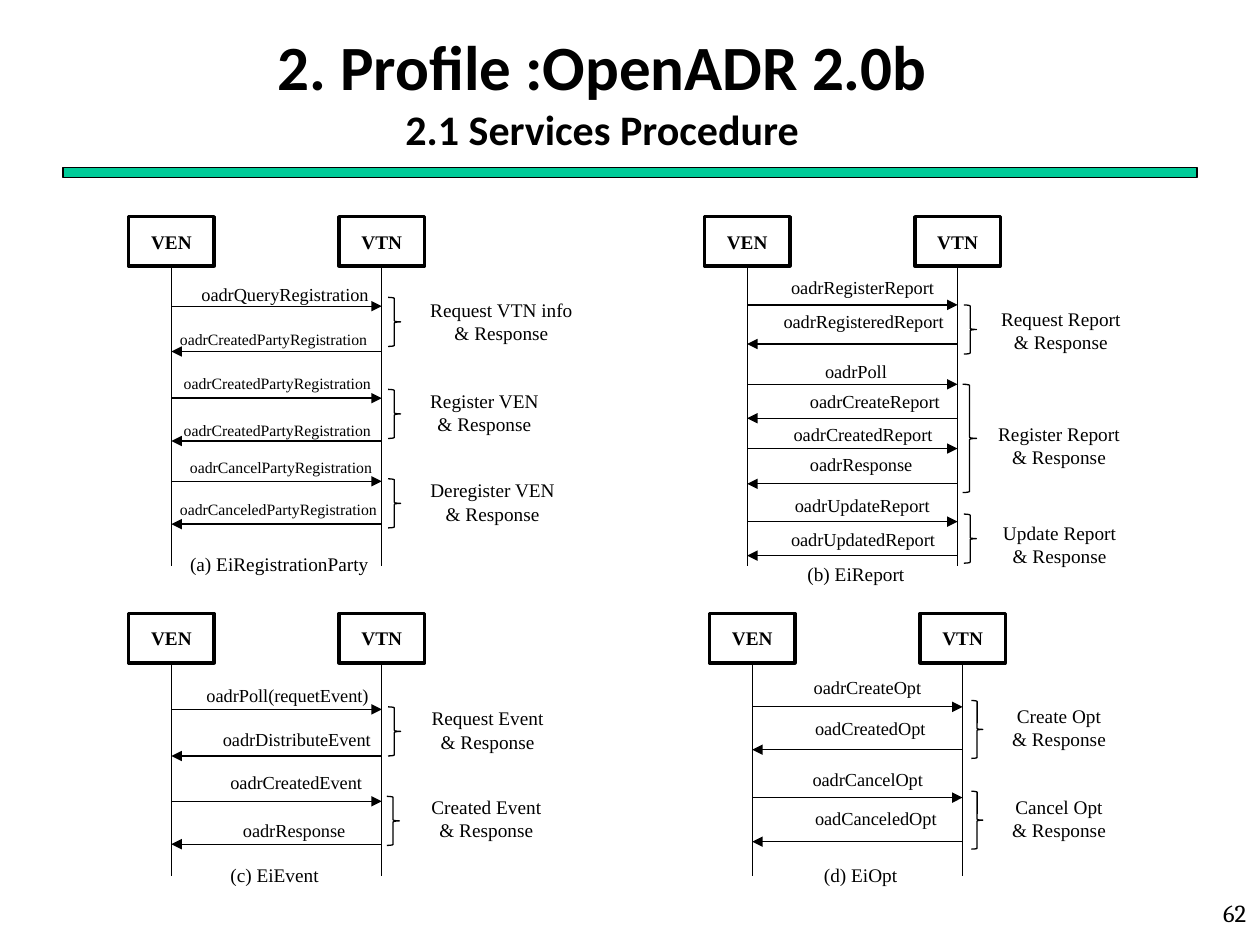
from collections import namedtuple

from lxml.etree import SubElement
from pptx import Presentation
from pptx.dml.color import RGBColor
from pptx.enum.shapes import MSO_CONNECTOR, MSO_SHAPE
from pptx.enum.text import MSO_ANCHOR, MSO_AUTO_SIZE, PP_ALIGN
from pptx.oxml.ns import qn
from pptx.util import Cm, Pt

COLOURS = {"ink": "000000", "rule": "00CC99"}
SERIF = "Times New Roman"
HEAD_WIDTH, HEAD_HEIGHT, LANE_GAP = 0.68, 0.39, 1.67

Diagram = namedtuple("Diagram", "left top bottom caption messages notes")
Message = namedtuple("Message", "text y left top width size", defaults=[10.5])
Note = namedtuple("Note", "text left top width brace")

DIAGRAMS = [
    Diagram(1.02, 1.72, 4.49, ("(a) EiRegistrationParty", 1.41, 4.33, 1.62), [
        Message("oadrQueryRegistration", 2.43, 1.5, 2.2, 1.55),
        Message("oadrCreatedPartyRegistration", 2.79, 1.33, 2.57, 1.7, 9),
        Message("oadrCreatedPartyRegistration", 3.16, 1.36, 2.92, 1.7, 9),
        Message("oadrCreatedPartyRegistration", 3.5, 1.36, 3.29, 1.7, 9),
        Message("oadrCancelPartyRegistration", 3.82, 1.41, 3.58, 1.66, 9),
        Message("oadrCanceledPartyRegistration", 4.16, 1.33, 3.92, 1.78, 9),
    ], [
        Note("Request VTN info", 3.31, 2.32, 1.34, (3.08, 2.36, 0.1, 0.39)),
        Note("Register VEN", 3.31, 3.04, 1.07, (3.08, 3.09, 0.1, 0.39)),
        Note("Deregister VEN", 3.31, 3.75, 1.2, (3.08, 3.8, 0.1, 0.39)),
    ]),
    Diagram(5.59, 1.72, 4.49, ("(b) EiReport", 6.31, 4.41, 0.98), [
        Message("oadrRegisterReport", 2.42, 6.18, 2.14, 1.35),
        Message("oadrRegisteredReport", 2.73, 6.12, 2.41, 1.49),
        Message("oadrPoll", 3.05, 6.45, 2.81, 0.7),
        Message("oadrCreateReport", 3.32, 6.33, 3.05, 1.25),
        Message("oadrCreatedReport", 3.56, 6.2, 3.31, 1.32),
        Message("oadrResponse", 3.84, 6.33, 3.55, 1.07),
        Message("oadrUpdateReport", 4.14, 6.21, 3.87, 1.29),
        Message("oadrUpdatedReport", 4.41, 6.18, 4.14, 1.36),
    ], [
        Note("Request Report", 7.84, 2.39, 1.16, (7.65, 2.42, 0.1, 0.39)),
        Note("Register Report", 7.82, 3.3, 1.17, (7.64, 3.05, 0.11, 0.86)),
        Note("Update Report", 7.86, 4.09, 1.1, (7.65, 4.08, 0.1, 0.39)),
    ]),
    Diagram(1.02, 4.87, 6.95, ("(c) EiEvent", 1.73, 6.8, 0.91), [
        Message("oadrPoll(requetEvent)", 5.63, 1.54, 5.38, 1.51),
        Message("oadrDistributeEvent", 6, 1.67, 5.73, 1.39),
        Message("oadrCreatedEvent", 6.36, 1.73, 6.07, 1.26),
        Message("oadrResponse", 6.7, 1.83, 6.45, 1.07),
    ], [
        Note("Request Event", 3.32, 5.56, 1.1, (3.08, 5.61, 0.1, 0.39)),
        Note("Created Event", 3.32, 6.26, 1.08, (3.07, 6.32, 0.1, 0.39)),
    ]),
    Diagram(5.63, 4.87, 6.95, ("(d) EiOpt", 6.44, 6.8, 0.79), [
        Message("oadrCreateOpt", 5.61, 6.36, 5.32, 1.11),
        Message("oadCreatedOpt", 5.95, 6.37, 5.64, 1.09),
        Message("oadrCancelOpt", 6.33, 6.35, 6.05, 1.09),
        Message("oadCanceledOpt", 6.68, 6.37, 6.36, 1.18),
    ], [
        Note("Create Opt", 7.93, 5.54, 0.95, (7.71, 5.56, 0.09, 0.46)),
        Note("Cancel Opt", 7.93, 6.26, 0.95, (7.71, 6.28, 0.09, 0.46)),
    ]),
]


def to_cm(*inches):
    return [Cm(value * 2.54) for value in inches]


def colour(name):
    return RGBColor.from_string(COLOURS[name])


def add_span(para, text, size, font=SERIF, bold=False):
    span = para.add_run()
    span.text = text
    span.font.size = Pt(size)
    span.font.name = font
    span.font.bold = bold
    span.font.color.rgb = colour("ink")


def add_label(page, lines, left, top, width, height, size=11, align=PP_ALIGN.LEFT, font=SERIF):
    box = page.shapes.add_textbox(*to_cm(left, top, width, height))
    frame = box.text_frame
    frame.word_wrap = False
    frame.auto_size = MSO_AUTO_SIZE.SHAPE_TO_FIT_TEXT
    for index, line in enumerate(lines):
        para = frame.add_paragraph() if index else frame.paragraphs[0]
        para.alignment = align
        add_span(para, line, size, font)


def add_outline(page, kind, bounds, weight=0.75, fill=None):
    shape = page.shapes.add_shape(kind, *to_cm(*bounds))
    shape.shadow.inherit = False
    shape.line.color.rgb = colour("ink")
    shape.line.width = Pt(weight)
    if fill:
        shape.fill.solid()
        shape.fill.fore_color.rgb = colour(fill)
    else:
        shape.fill.background()
    return shape


def add_line(page, start, end, arrow=False):
    line = page.shapes.add_connector(MSO_CONNECTOR.STRAIGHT, *to_cm(*start, *end))
    line.line.color.rgb = colour("ink")
    line.line.width = Pt(0.75)
    if arrow:
        SubElement(line.line._get_or_add_ln(), qn("a:tailEnd"), type="triangle")
    SubElement(line._element.spPr, qn("a:effectLst"))


def add_head(page, name, left, top):
    box = add_outline(page, MSO_SHAPE.RECTANGLE, (left, top, HEAD_WIDTH, HEAD_HEIGHT), 2)
    box.text_frame.vertical_anchor = MSO_ANCHOR.MIDDLE
    para = box.text_frame.paragraphs[0]
    para.alignment = PP_ALIGN.CENTER
    add_span(para, name, 11, bold=True)


def add_diagram(page, diagram):
    lanes = []
    for index, name in enumerate(("VEN", "VTN")):
        left = diagram.left + index * LANE_GAP
        lane = left + HEAD_WIDTH / 2
        add_head(page, name, left, diagram.top)
        add_line(page, (lane, diagram.top + HEAD_HEIGHT), (lane, diagram.bottom))
        lanes.append(lane)
    for index, message in enumerate(diagram.messages):
        start, end = reversed(lanes) if index % 2 else lanes
        add_line(page, (start, message.y), (end, message.y), arrow=True)
        height = 0.25 if message.size == 9 else 0.28
        add_label(page, [message.text], message.left, message.top, message.width, height, message.size)
    for note in diagram.notes:
        add_outline(page, MSO_SHAPE.RIGHT_BRACE, note.brace)
        add_label(page, [note.text, "& Response"], note.left, note.top, note.width, 0.47,
                  align=PP_ALIGN.CENTER)
    text, left, top, width = diagram.caption
    add_label(page, [text], left, top, width, 0.29)


def add_title(page):
    box = page.shapes.add_textbox(*to_cm(0.03, 0.26, 9.5, 0.92))
    box.text_frame.word_wrap = True
    box.text_frame.vertical_anchor = MSO_ANCHOR.MIDDLE
    para = box.text_frame.paragraphs[0]
    para.alignment = PP_ALIGN.CENTER
    add_span(para, "2. Profile :OpenADR 2.0b", 36, "Calibri", True)
    para.add_line_break()
    add_span(para, "2.1 Services Procedure", 24, "Calibri", True)


def main():
    deck = Presentation()
    deck.slide_width, deck.slide_height = to_cm(10, 7.5)
    page = deck.slides.add_slide(deck.slide_layouts[6])
    add_outline(page, MSO_SHAPE.RECTANGLE, (0.5, 1.33, 9, 0.08), fill="rule")
    add_title(page)
    for diagram in DIAGRAMS:
        add_diagram(page, diagram)
    add_label(page, ["62"], 7.91, 7.08, 2.08, 0.42, 14, PP_ALIGN.RIGHT, "Cambria")
    deck.save("out.pptx")


if __name__ == "__main__":
    main()
